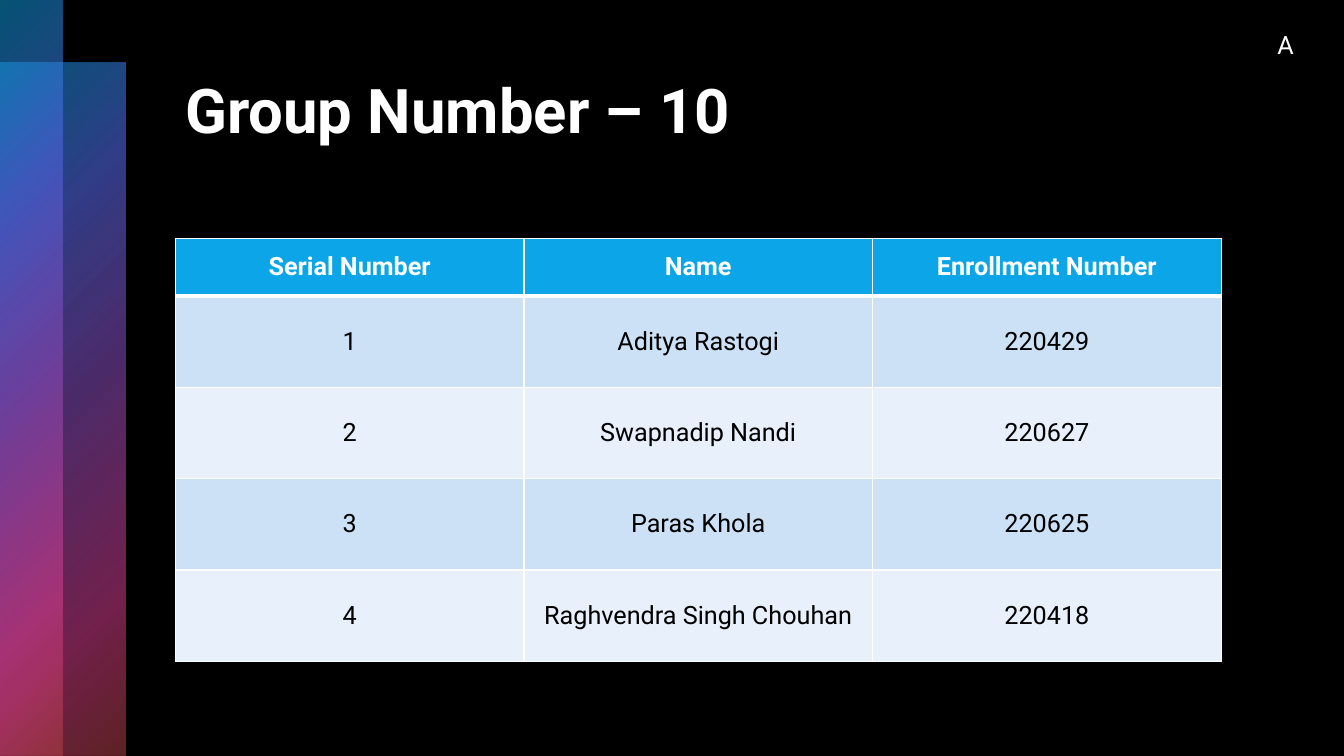
from dataclasses import dataclass

from lxml import etree
from pptx import Presentation
from pptx import util as u
from pptx.dml.color import RGBColor
from pptx.enum import shapes, text
from pptx.oxml import ns

EMU_PER_PX = 9525
BLACK = RGBColor(0x00, 0x00, 0x00)
WHITE = RGBColor(0xFF, 0xFF, 0xFF)
SKY = RGBColor(0x0B, 0xA5, 0xE8)
INDIGO = RGBColor(0x50, 0x66, 0xE1)
VIOLET = RGBColor(0x89, 0x4E, 0xC0)
PINK = RGBColor(0xE5, 0x41, 0x96)
RUST = RGBColor(0xBE, 0x44, 0x49)
BAND_DARK = RGBColor(0xCC, 0xE1, 0xF6)
BAND_LIGHT = RGBColor(0xE7, 0xF0, 0xFB)


@dataclass(frozen=True)
class Box:
    left: int
    top: int
    width: int
    height: int

    def emu(self) -> list[u.Emu]:
        return [px(n) for n in (self.left, self.top, self.width, self.height)]


@dataclass(frozen=True)
class Stop:
    position: int
    color: RGBColor
    opacity: int


@dataclass(frozen=True)
class Bar:
    box: Box
    violet_position: int


@dataclass(frozen=True)
class Label:
    box: Box
    words: str
    size: int
    bold: bool
    align: text.PP_ALIGN


BARS = [Bar(Box(0, 60, 119, 660), 50), Bar(Box(0, 0, 60, 720), 49)]
LABELS = [
    Label(Box(167, 64, 996, 163), "Group Number – 10", 44, True, text.PP_ALIGN.LEFT),
    Label(Box(1139, 23, 171, 38), "A", 18, False, text.PP_ALIGN.CENTER),
]
MEMBERS_BOX = Box(167, 227, 996, 403)
HEADER_HEIGHT = 55
MEMBER_HEIGHT = 87
MEMBERS = [
    ("Serial Number", "Name", "Enrollment Number"),
    ("1", "Aditya Rastogi", "220429"),
    ("2", "Swapnadip Nandi", "220627"),
    ("3", "Paras Khola", "220625"),
    ("4", "Raghvendra Singh Chouhan", "220418"),
]


def px(count: int) -> u.Emu:
    return u.Emu(count * EMU_PER_PX)


def write(frame, words: str, size: int, bold: bool, color: RGBColor, align) -> None:
    paragraph = frame.paragraphs[0]
    paragraph.alignment = align
    run = paragraph.add_run()
    run.text = words
    looks = {"name": "Roboto", "size": u.Pt(size), "bold": bold}
    for attribute, value in looks.items():
        setattr(run.font, attribute, value)
    run.font.color.rgb = color


def add_color(parent, color: RGBColor):
    return etree.SubElement(parent, ns.qn("a:srgbClr"), val=str(color))


def draw_bar(slide, bar: Bar) -> None:
    stripe = slide.shapes.add_shape(shapes.MSO_SHAPE.RECTANGLE, *bar.box.emu())
    stripe.shadow.inherit = False
    stripe.line.fill.background()
    gradient = etree.Element(ns.qn("a:gradFill"), rotWithShape="1")
    stops = etree.SubElement(gradient, ns.qn("a:gsLst"))
    for stop in (
        Stop(0, SKY, 50),
        Stop(25, INDIGO, 60),
        Stop(bar.violet_position, VIOLET, 55),
        Stop(81, PINK, 50),
        Stop(99, RUST, 50),
    ):
        mark = etree.SubElement(stops, ns.qn("a:gs"), pos=str(stop.position * 1000))
        color = add_color(mark, stop.color)
        etree.SubElement(color, ns.qn("a:alpha"), val=str(stop.opacity * 1000))
    spread = etree.SubElement(gradient, ns.qn("a:path"), path="circle")
    etree.SubElement(spread, ns.qn("a:fillToRect"), r="100000", b="100000")
    stripe._element.spPr.find(ns.qn("a:prstGeom")).addnext(gradient)


def draw_label(slide, label: Label) -> None:
    frame = slide.shapes.add_textbox(*label.box.emu()).text_frame
    frame.word_wrap = True
    write(frame, label.words, label.size, label.bold, WHITE, label.align)


def add_border(cell, side: str, points: int) -> None:
    properties = cell._tc.get_or_add_tcPr()
    line = etree.SubElement(properties, ns.qn(f"a:ln{side}"), w=str(u.Pt(points)))
    add_color(etree.SubElement(line, ns.qn("a:solidFill")), WHITE)


def draw_members(slide) -> None:
    columns = len(MEMBERS[0])
    frame = slide.shapes.add_table(len(MEMBERS), columns, *MEMBERS_BOX.emu())
    members = frame.table
    for flag in ("first_row", "horz_banding"):
        setattr(members, flag, False)
    for column in members.columns:
        column.width = px(MEMBERS_BOX.width // columns)
    for row, entries in enumerate(MEMBERS):
        header = row == 0
        members.rows[row].height = px(HEADER_HEIGHT if header else MEMBER_HEIGHT)
        band = BAND_DARK if row % 2 else BAND_LIGHT
        borders = {"L": 1, "R": 1, "T": 3 if row == 1 else 1, "B": 3 if header else 1}
        for column, words in enumerate(entries):
            cell = members.cell(row, column)
            cell.vertical_anchor = text.MSO_ANCHOR.MIDDLE
            for side, points in borders.items():
                add_border(cell, side, points)
            cell.fill.solid()
            cell.fill.fore_color.rgb = SKY if header else band
            ink = WHITE if header else BLACK
            write(cell.text_frame, words, 18, header, ink, text.PP_ALIGN.CENTER)


def main() -> None:
    deck = Presentation()
    deck.slide_width, deck.slide_height = px(1280), px(720)
    slide = deck.slides.add_slide(deck.slide_layouts[6])
    slide.background.fill.solid()
    slide.background.fill.fore_color.rgb = BLACK
    for bar in BARS:
        draw_bar(slide, bar)
    title, initial = LABELS
    draw_label(slide, title)
    draw_members(slide)
    draw_label(slide, initial)
    deck.save("out.pptx")


if __name__ == "__main__":
    main()
